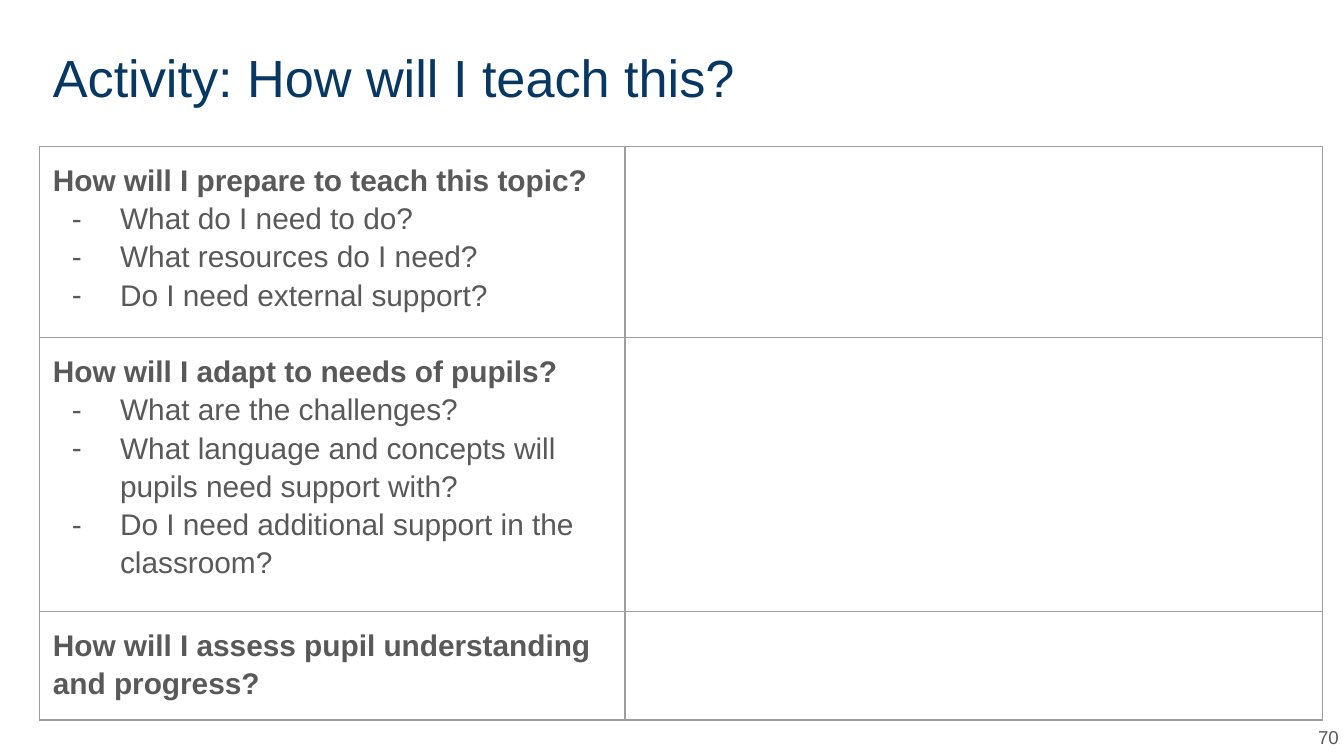
"""Build the lesson planning slide with its activity table."""
from lxml import etree
from pptx import Presentation
from pptx import util as u
from pptx.dml.color import RGBColor
from pptx.enum import text
from pptx.oxml import ns

NAVY = RGBColor(0x07, 0x37, 0x63)
GREY = RGBColor(0x59, 0x59, 0x59)
RULE = RGBColor(0x9E, 0x9E, 0x9E)
INSET = u.Cm(0.25)

QUESTIONS = [
    ("How will I prepare to teach this topic?",
     ["What do I need to do?", "What resources do I need?", "Do I need external support?"]),
    ("How will I adapt to needs of pupils?",
     ["What are the challenges?",
      "What language and concepts will pupils need support with?",
      "Do I need additional support in the classroom?"]),
    ("How will I assess pupil understanding and progress?", []),
]
COLUMN_WIDTHS = [11.06, 13.19]
ROW_HEIGHTS = [3.52, 4.91, 1.95]


def add_child(parent, tag, **attributes):
    return etree.SubElement(parent, ns.qn(tag), attributes)


def write(para, words, size=16, color=GREY, bold=False, align=None, spacing=None, bullet=None):
    if bullet:
        properties = para._p.get_or_add_pPr()
        properties.set("marL", str(u.Cm(1.27)))
        properties.set("indent", str(u.Cm(-0.91)))
        add_child(add_child(properties, "a:buClr"), "a:srgbClr", val=str(color))
        add_child(properties, "a:buFont", typeface="Arial")
        add_child(properties, "a:buChar", char=bullet)
    if align is not None:
        para.alignment = align
    if spacing:
        para.line_spacing = spacing
    span = para.add_run()
    span.text = words
    span.font.name = "Arial"
    span.font.size = u.Pt(size)
    span.font.bold = bold
    span.font.color.rgb = color


class SlideBuilder:
    def __init__(self, page, border=RULE, border_width=0.75):
        self.page = page
        self.border = border
        self.border_width = border_width

    def add_text(self, words, left, top, width, height, anchor=text.MSO_ANCHOR.TOP, **style):
        box = self.page.shapes.add_textbox(u.Cm(left), u.Cm(top), u.Cm(width), u.Cm(height))
        frame = box.text_frame
        frame.word_wrap = True
        frame.vertical_anchor = anchor
        frame.margin_left = frame.margin_right = INSET
        frame.margin_top = frame.margin_bottom = INSET
        write(frame.paragraphs[0], words, **style)

    def format_cell(self, cell):
        cell.margin_left = cell.margin_right = INSET
        cell.margin_top = cell.margin_bottom = INSET
        properties = cell._tc.get_or_add_tcPr()
        for side in ("a:lnL", "a:lnR", "a:lnT", "a:lnB"):
            line = add_child(properties, side, w=str(u.Pt(self.border_width)))
            add_child(add_child(line, "a:solidFill"), "a:srgbClr", val=str(self.border))
        cell.fill.background()

    def add_questions(self, questions, left, top, widths, heights):
        table = self.page.shapes.add_table(
            len(heights), len(widths), u.Cm(left), u.Cm(top),
            u.Cm(sum(widths)), u.Cm(sum(heights))).table
        table.first_row = table.horz_banding = False
        for column, width in zip(table.columns, widths):
            column.width = u.Cm(width)
        for row, height in zip(table.rows, heights):
            row.height = u.Cm(height)
        for cell in table.iter_cells():
            self.format_cell(cell)
        for index, (heading, prompts) in enumerate(questions):
            frame = table.cell(index, 0).text_frame
            write(frame.paragraphs[0], heading, bold=True, spacing=1.15)
            for prompt in prompts:
                write(frame.add_paragraph(), prompt, spacing=1.15, bullet="-")


def main():
    deck = Presentation()
    deck.slide_width, deck.slide_height = u.Cm(25.4), u.Cm(14.29)
    builder = SlideBuilder(deck.slides.add_slide(deck.slide_layouts[6]))
    builder.add_text("Activity: How will I teach this?", 0.75, 0.61, 21.54, 1.6,
                     size=28, color=NAVY)
    builder.add_questions(QUESTIONS, 0.75, 2.77, COLUMN_WIDTHS, ROW_HEIGHTS)
    builder.add_text("70", 24.03, 13.39, 1.52, 1.09, anchor=text.MSO_ANCHOR.MIDDLE,
                     size=10, align=text.PP_ALIGN.RIGHT)
    deck.save("out.pptx")


if __name__ == "__main__":
    main()
